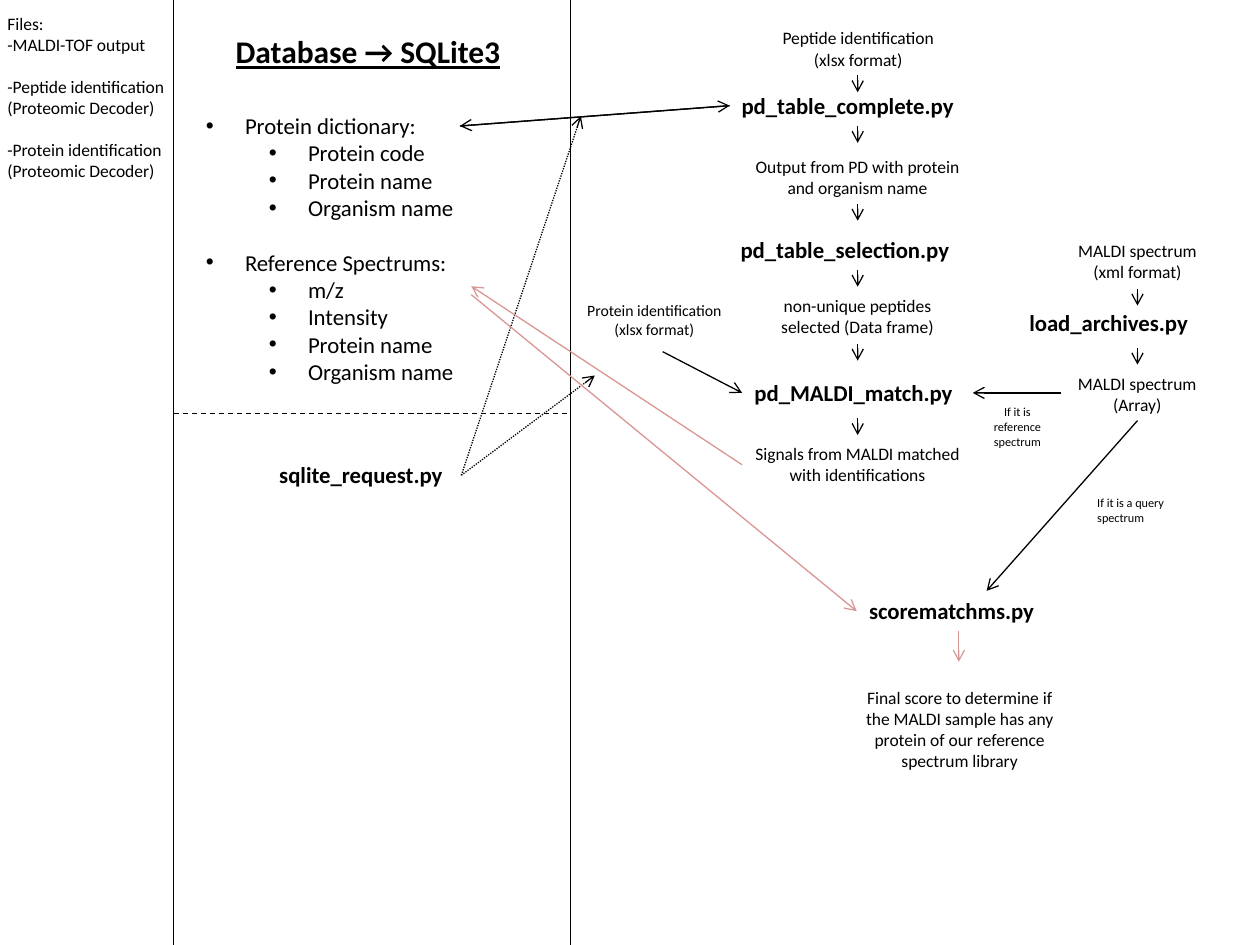
import pptx
import pptx.util
import pptx.dml.color
import pptx.enum.dml
import pptx.enum.shapes
import pptx.enum.text
import pptx.oxml.ns
from lxml import etree

Cm, Pt = pptx.util.Cm, pptx.util.Pt
ALIGN = pptx.enum.text.PP_ALIGN
DASH = pptx.enum.dml.MSO_LINE
HUES = {"ink": "000000", "score": "D99694"}


def color(name):
    """Return the named colour."""
    return pptx.dml.color.RGBColor.from_string(HUES[name])


def child(parent, tag, **attrs):
    """Append a DrawingML element to the parent."""
    return etree.SubElement(parent, pptx.oxml.ns.qn("a:" + tag), attrs)


def text(slide, box, lines, size=10, bold=False, center=False):
    """Add a text box and return its paragraphs."""
    frame = slide.shapes.add_textbox(*map(Cm, box)).text_frame
    frame.word_wrap = True
    frame.text = "\n".join(lines)
    for para in frame.paragraphs:
        para.alignment = ALIGN.CENTER if center else ALIGN.LEFT
        font = para.font
        font.name, font.size, font.bold = "Calibri", Pt(size), bold
        font.color.rgb = color("ink")
    return frame.paragraphs


def line(slide, start, end, hue="ink", dash=None, arrow=True):
    """Draw a straight line, with an arrowhead at its end if asked."""
    kind = pptx.enum.shapes.MSO_CONNECTOR.STRAIGHT
    link = slide.shapes.add_connector(kind, *map(Cm, start + end))
    link.line.width = Pt(0.75)
    link.line.color.rgb = color(hue)
    if dash:
        link.line.dash_style = dash
    if arrow:
        child(link.line._get_or_add_ln(), "tailEnd", type="arrow")
    child(link._element.spPr, "effectLst")


def bullet(para, level):
    """Give a paragraph a hanging bullet."""
    para.level = level
    props = para._p.get_or_add_pPr()
    props.set("marL", str(Cm(0.79 + 1.27 * level)))
    props.set("indent", str(-Cm(0.79)))
    marks = [child(props, "buFont", typeface="Arial"), child(props, "buChar", char="•")]
    for index, mark in enumerate(marks):
        props.remove(mark)
        props.insert(list(props).index(props.find(pptx.oxml.ns.qn("a:defRPr"))), mark)


def files(slide, box):
    """List the input files and draw the right edge of the column."""
    left, top, width, height = box
    lines = ["Files:", "-MALDI-TOF output",
             "-Peptide identification (Proteomic Decoder)",
             "-Protein identification (Proteomic Decoder)"]
    paras = text(slide, (left - 0.1, top + 0.13, width + 0.3, 3.68), lines)
    for para in paras[2:]:
        para.space_before = Pt(12)
    line(slide, (left + width, top), (left + width, top + height), arrow=False)


def database(slide, box):
    """Describe the database tables and the request script."""
    left, top, width, height = box
    right = left + width
    title = text(slide, (left + 1, top + 0.53, 6.4, 1.02), ["Database → SQLite3"], 18, True)
    title[0].font.underline = True
    groups = {
        "Protein dictionary:": ["Protein code", "Protein name", "Organism name"],
        "Reference Spectrums:": ["m/z", "Intensity", "Protein name", "Organism name"],
    }
    lines = [item for head, parts in groups.items() for item in [head] + parts]
    paras = text(slide, (left + 0.4, top + 2.13, 7, 5.82), lines, 13)
    for para in paras:
        bullet(para, 0 if para.text in groups else 1)
    paras[4].space_before = Pt(15.6)
    text(slide, (left + 1.88, top + 9.17, 3.9, 0.81), ["sqlite_request.py"], 13, True)
    line(slide, (left, top + 8.33), (right, top + 8.33), dash=DASH.DASH, arrow=False)
    line(slide, (right, top), (right, top + height), arrow=False)


def flow(slide, box):
    """Lay out the scripts, their data and the arrows between them."""
    left, top, width, height = box
    scripts = [
        (3.2, 1.73, "pd_table_complete.py"), (3.18, 4.62, "pd_table_selection.py"),
        (3.46, 7.52, "pd_MALDI_match.py"), (9, 6.1, "load_archives.py"),
        (5.77, 11.91, "scorematchms.py"),
    ]
    for x, y, name in scripts:
        text(slide, (left + x, top + y, 5.2, 0.81), [name], 13, True)
    notes = [
        (3.77, 0.43, 4.06, 10, ["Peptide identification (xlsx format)"]),
        (3.46, 3.02, 4.65, 10, ["Output from PD with protein and organism name"]),
        (3.46, 5.82, 4.65, 10, ["non-unique peptides selected (Data frame)"]),
        (3.46, 8.81, 4.65, 10, ["Signals from MALDI matched with identifications"]),
        (9.4, 4.72, 4.06, 10, ["MALDI spectrum", "(xml format)"]),
        (9.1, 7.39, 4.65, 10, ["MALDI spectrum", "(Array)"]),
        (5.52, 13.72, 4.65, 10, ["Final score to determine if the MALDI sample has any "
                                 "protein of our reference spectrum library"]),
        (0, 5.94, 3.38, 9, ["Protein identification (xlsx format)"]),
        (8.01, 8.03, 2, 7, ["If it is reference spectrum"]),
    ]
    for x, y, wide, size, lines in notes:
        text(slide, (left + x, top + y, wide, 1.1), lines, size, center=True)
    text(slide, (left + 10.37, top + 9.86, 2, 0.86), ["If it is a query spectrum"], 7)
    steps = {5.79: [1.52, 2.54, 4.11, 5.44, 6.93, 8.43], 11.43: [5.82, 7.01]}
    for x, tops in steps.items():
        for y in tops:
            line(slide, (left + x, top + y), (left + x, top + y + 0.34))
    joins = [
        (9.89, 7.92, 8.11, 7.92, "ink"), (11.43, 8.48, 8.39, 11.91, "ink"),
        (1.86, 7.09, 3.46, 7.92, "ink"), (7.83, 12.73, 7.83, 13.34, "score"),
    ]
    for x, y, endx, endy, hue in joins:
        line(slide, (left + x, top + y), (left + endx, top + endy), hue)


def links(slide, box):
    """Join the database to the scripts."""
    left, top, width, height = box
    ends = [
        (14.71, 2.13, 9.27, 2.54, "ink", None), (9.27, 2.54, 14.71, 2.13, "ink", None),
        (9.3, 9.58, 11.71, 2.34, "ink", DASH.ROUND_DOT),
        (9.3, 9.58, 11.99, 7.57, "ink", DASH.ROUND_DOT),
        (14.96, 9.37, 9.5, 5.77, "score", None),
        (9.5, 5.94, 17.27, 12.32, "score", None),
    ]
    for x, y, endx, endy, hue, dash in ends:
        line(slide, (left + x, top + y), (left + endx, top + endy), hue, dash)


def main():
    """Build the slide and save it."""
    deck = pptx.Presentation()
    deck.slide_width, deck.slide_height = Cm(25.4), Cm(19.05)
    slide = deck.slides.add_slide(deck.slide_layouts[6])
    files(slide, (0, 0, 3.5, 19.05))
    database(slide, (3.5, 0, 8, 19.05))
    flow(slide, (11.5, 0, 13.9, 19.05))
    links(slide, (0, 0, 25.4, 19.05))
    deck.save("out.pptx")


main()
